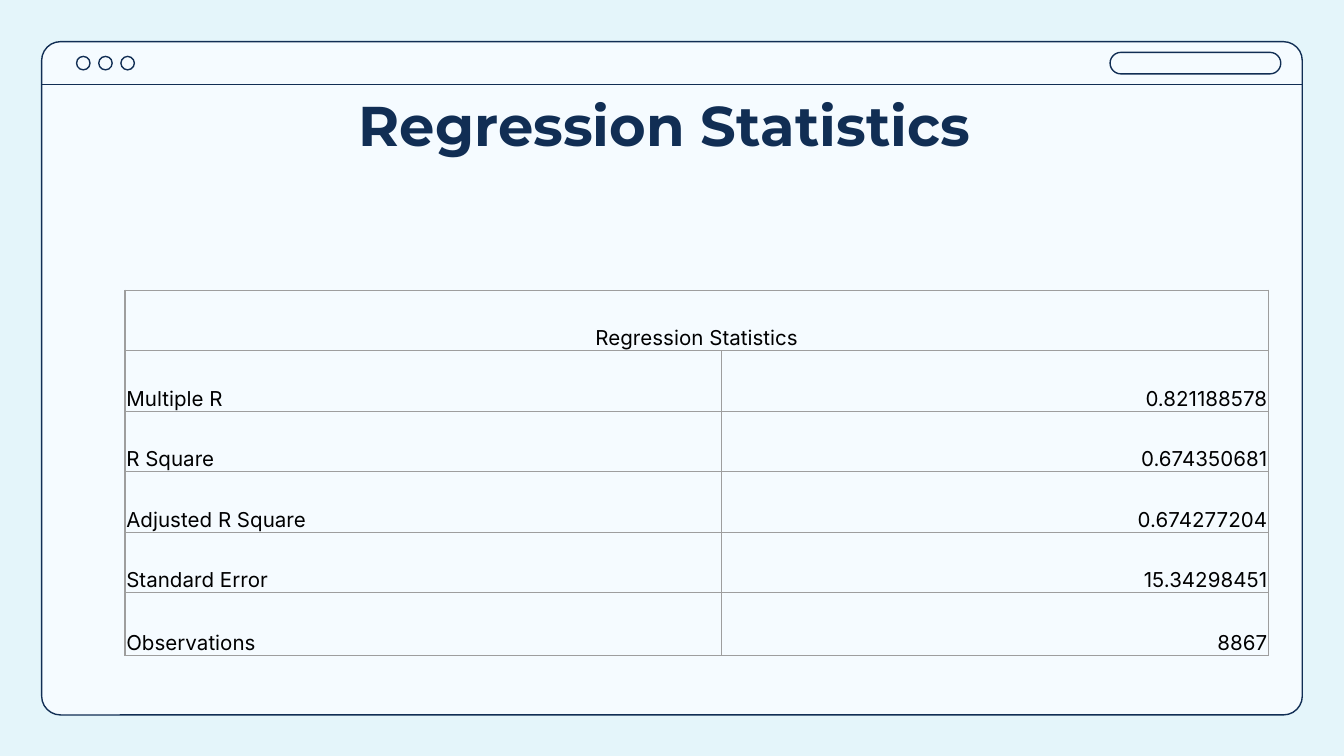
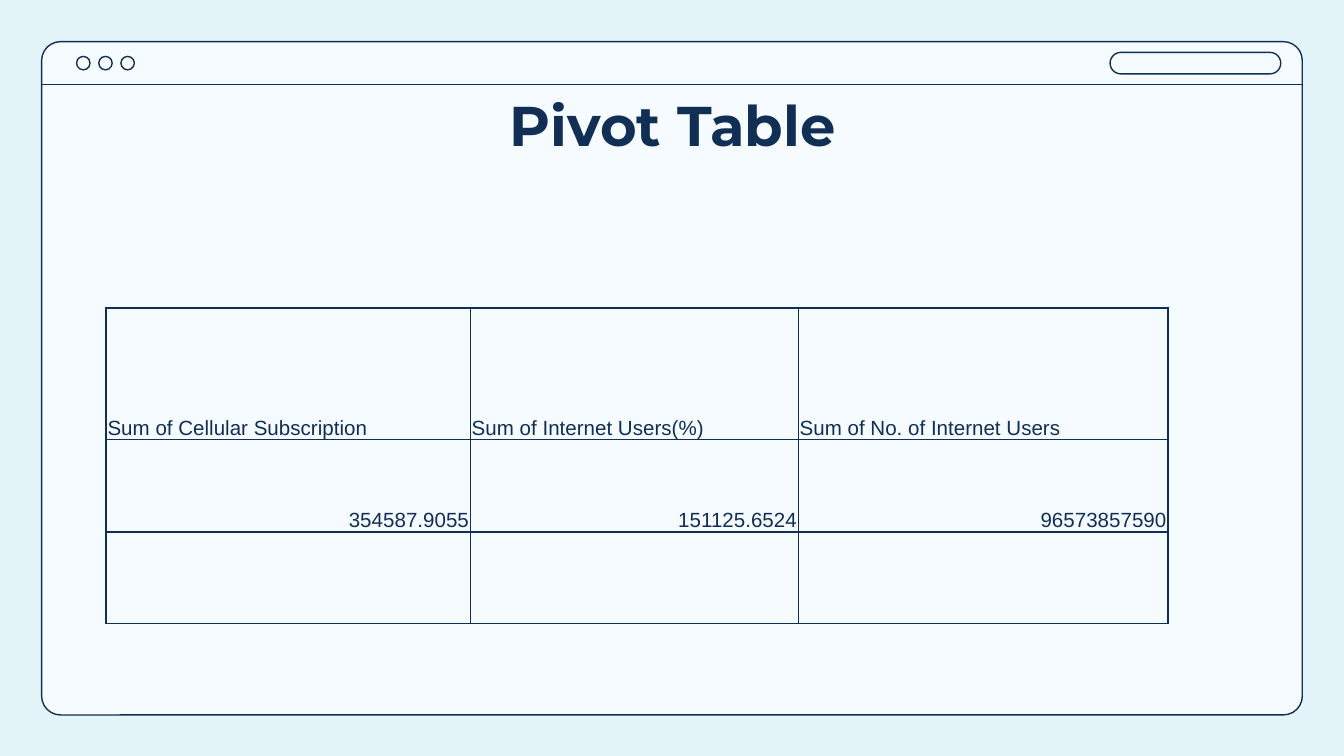
from lxml.etree import SubElement
from pptx import Presentation
from pptx.dml.color import RGBColor
from pptx.enum.shapes import MSO_CONNECTOR, MSO_SHAPE
from pptx.enum.text import MSO_ANCHOR, MSO_AUTO_SIZE, PP_ALIGN
from pptx.oxml import parse_xml
from pptx.oxml.ns import nsdecls, qn
from pptx.util import Inches, Pt

HUES = {"sky": "E4F5FA", "pane": "F5FBFF", "navy": "112E54",
        "gray": "9E9E9E", "black": "000000"}


def hue(name):
    return RGBColor.from_string(HUES[name])


def write(frame, text, font, size, color, align, bold=False):
    para = frame.paragraphs[0]
    para.alignment = align
    run = para.add_run()
    run.text = text
    run.font.name = font
    run.font.size = Pt(size)
    run.font.bold = bold
    run.font.color.rgb = hue(color)


# Widescreen, 16 to 9
prs = Presentation()
prs.slide_width, prs.slide_height = Inches(10), Inches(10 * 9 / 16)

# Shared layout: background and title only
layout = prs.slide_layouts[5]
layout.background.fill.solid()
layout.background.fill.fore_color.rgb = hue("sky")
for holder in list(layout.placeholders):
    if holder.placeholder_format.idx != 0:
        holder.element.getparent().remove(holder.element)

pages = [
    {"title": "Regression Statistics ", "at": (0.93, 2.16),
     "cols": [4.44, 4.07], "rows": [0.45] * 5 + [0.47],
     "font": "Inter", "ink": "black", "edge": ("gray", 0.75), "merge": True,
     "data": [["Regression Statistics"],
              ["Multiple R", "0.821188578"],
              ["R Square", "0.674350681"],
              ["Adjusted R Square", "0.674277204"],
              ["Standard Error", "15.34298451"],
              ["Observations", "8867"]]},
    {"title": "Pivot Table", "at": (0.79, 2.29),
     "cols": [2.71, 2.44, 2.75], "rows": [0.98, 0.69, 0.68],
     "font": "Arial", "ink": "navy", "edge": ("navy", 1), "merge": False,
     "data": [["Sum of Cellular Subscription", "Sum of Internet Users(%)",
               "Sum of No. of Internet Users"],
              ["354587.9055", "151125.6524", "96573857590"]]},
]
slides = [prs.slides.add_slide(layout) for page in pages]

# Browser window: drawn once, then moved to the layout behind the title
parts = [(MSO_SHAPE.ROUNDED_RECTANGLE, 0.31, 0.31, 9.38, 5.01, 0.028)]
parts += [(MSO_SHAPE.OVAL, 0.57 + i * 0.165, 0.42, 0.1, 0.1, None)
          for i in range(3)]
parts += [(MSO_SHAPE.ROUNDED_RECTANGLE, 8.26, 0.39, 1.27, 0.16, 0.5)]
shapes = slides[0].shapes
window = []
for kind, left, top, width, height, round_by in parts:
    shape = shapes.add_shape(kind, Inches(left), Inches(top),
                             Inches(width), Inches(height))
    shape.shadow.inherit = False
    if round_by is not None:
        shape.adjustments[0] = round_by
    if window:
        shape.fill.background()
    else:
        shape.fill.solid()
        shape.fill.fore_color.rgb = hue("pane")
    window.append(shape)
bar = shapes.add_connector(MSO_CONNECTOR.STRAIGHT, Inches(0.31), Inches(0.63),
                           Inches(9.69), Inches(0.63))
SubElement(bar.element.spPr, qn("a:effectLst"))
window.append(bar)
for spot, shape in enumerate(window, 2):
    shape.line.color.rgb = hue("navy")
    shape.line.width = Pt(0.75)
    layout.shapes.element.insert(spot, shape.element)

for slide, page in zip(slides, pages):
    # Title
    title = slide.shapes.title
    title.left, title.top = Inches(0.79), Inches(0.57)
    title.width, title.height = Inches(8.43), Inches(0.63)
    frame = title.text_frame
    frame.word_wrap = True
    frame.auto_size = MSO_AUTO_SIZE.NONE
    frame.vertical_anchor = MSO_ANCHOR.TOP
    frame.margin_left = frame.margin_right = Inches(0.1)
    frame.margin_top = frame.margin_bottom = Inches(0.1)
    write(frame, page["title"], "Montserrat", 30, "navy", PP_ALIGN.CENTER, True)

    # Table grid
    cols, rows = page["cols"], page["rows"]
    left, top = page["at"]
    table = slide.shapes.add_table(
        len(rows), len(cols), Inches(left), Inches(top),
        Inches(sum(cols)), Inches(sum(rows))).table
    table.first_row = table.horz_banding = False
    for col, width in zip(table.columns, cols):
        col.width = Inches(width)
    for row, height in zip(table.rows, rows):
        row.height = Inches(height)

    # Cell looks and borders
    color, weight = page["edge"]
    for cell in table.iter_cells():
        cell.fill.background()
        cell.vertical_anchor = MSO_ANCHOR.BOTTOM
        cell.margin_left = cell.margin_right = cell.margin_top = Inches(0.01)
        cell.margin_bottom = 0
        props = cell._tc.get_or_add_tcPr()
        for spot, side in enumerate(("lnL", "lnR", "lnT", "lnB")):
            props.insert(spot, parse_xml(
                f'<a:{side} {nsdecls("a")} w="{Pt(weight)}"><a:solidFill>'
                f'<a:srgbClr val="{HUES[color]}"/></a:solidFill></a:{side}>'))
    if page["merge"]:
        table.cell(0, 0).merge(table.cell(0, len(cols) - 1))

    # Cell text: numbers to the right, labels to the left
    for r, line in enumerate(page["data"]):
        for c, text in enumerate(line):
            if page["merge"] and r == 0:
                align = PP_ALIGN.CENTER
            elif text[0].isdigit():
                align = PP_ALIGN.RIGHT
            else:
                align = PP_ALIGN.LEFT
            write(table.cell(r, c).text_frame, text, page["font"], 11,
                  page["ink"], align)

prs.save("out.pptx")
